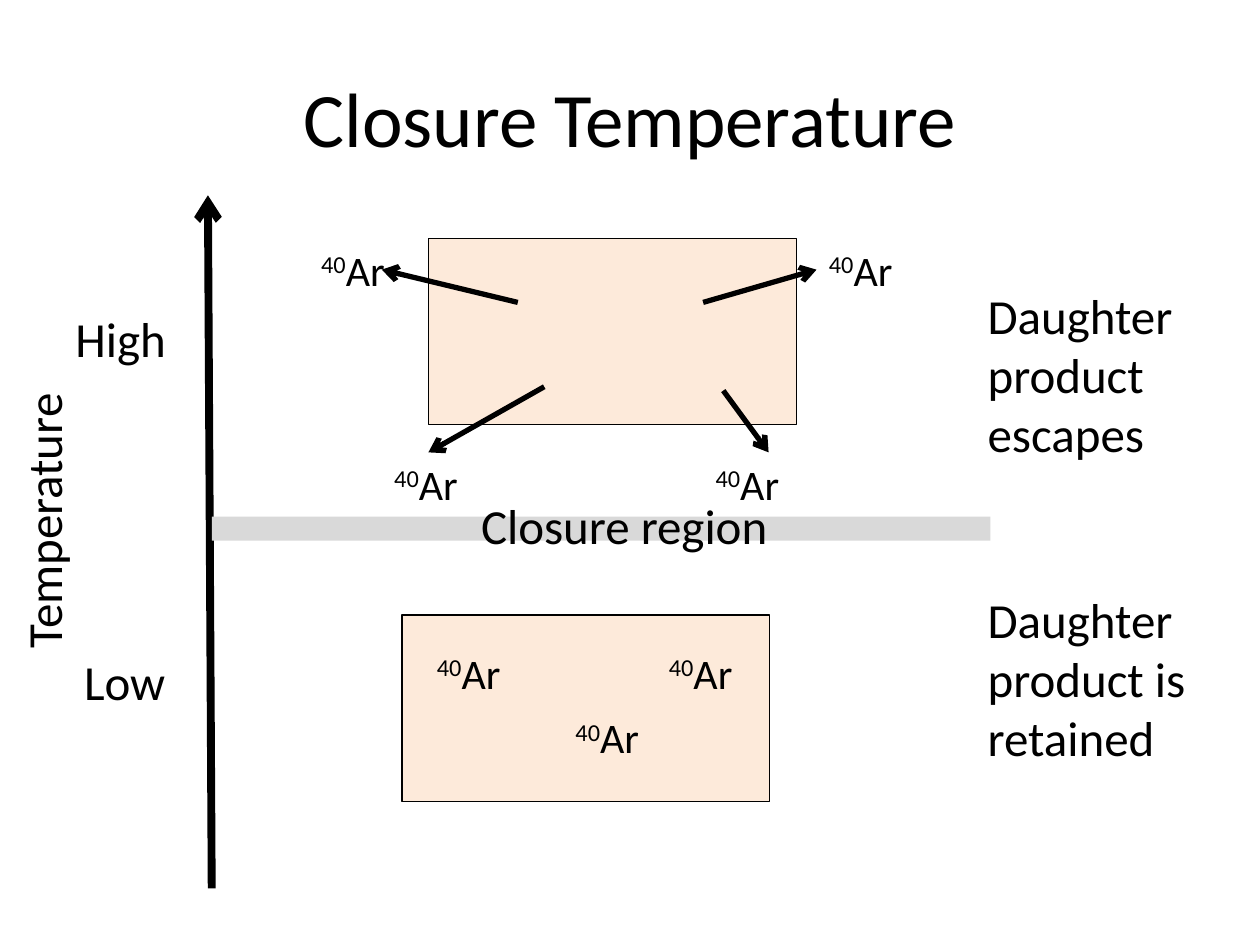
import pptx
import pptx.dml.color
import pptx.enum.shapes
import pptx.enum.text
import pptx.oxml.ns
import pptx.util
from lxml import etree

Pt = pptx.util.Pt
COLORS = {"ink": "000000", "mineral": "FDEADA", "closure": "D9D9D9"}
FONT = "Calibri"

TITLE = "Closure Temperature"
ISOTOPE = [("40", 30), ("Ar", 0)]  # text, baseline shift in percent
ISOTOPE_SIZE = (53.3, 36)
LABEL_HEIGHT = 41

# All positions and lengths are in points.
TEMPERATURE_AXIS = ((121, 507.6), (118.8, 111.6))
MINERAL_SIZE = (210.2, 106.6)
MINERALS = [(244.8, 136.1), (229.7, 351.4)]
CLOSURE_BAND = (121, 295.2, 445, 13.7)

RETAINED = [(375.1, 366.5), (321.8, 403.2), (242.6, 366.5)]
ESCAPED = [(218.2, 258.5), (401.8, 258.5), (176.4, 136.1), (466.6, 136.1)]
ESCAPE_PATHS = [
    ((401.8, 172.8), (466.6, 154.1)),
    ((311, 221), (244.8, 258.5)),
    ((413.3, 223.2), (439.2, 258.5)),
    ((295.9, 172.8), (218.2, 154.1)),
]

# text, left, top, width, rotation
LABELS = [
    ("Closure region", 267.8, 279.4, 180.7, 0),
    ("High", 36, 172.8, 67, 0),
    ("Low", 41, 368.6, 61.9, 0),
    ("Temperature", -58.3, 274.3, 165.6, 270),
]
# text, left, top, width, height
OUTCOMES = [
    ("Daughter product escapes", 557.3, 159.8, 126.7, 108.7),
    ("Daughter product is retained", 557.3, 333.4, 147.6, 108.7),
]


def rgb(name):
    return pptx.dml.color.RGBColor.from_string(COLORS[name])


def add_run(paragraph, text, size, baseline=0):
    run = paragraph.add_run()
    run.text = text
    run.font.name = FONT
    run.font.size = Pt(size)
    run.font.color.rgb = rgb("ink")
    if baseline:
        run.font._element.set("baseline", str(baseline * 1000))


def add_text(slide, runs, box, size, wrap=False, rotation=0):
    label = slide.shapes.add_textbox(*map(Pt, box))
    label.rotation = rotation
    frame = label.text_frame
    frame.word_wrap = wrap
    frame.auto_size = pptx.enum.text.MSO_AUTO_SIZE.SHAPE_TO_FIT_TEXT
    for text, baseline in runs:
        add_run(frame.paragraphs[0], text, size, baseline)


def add_rectangle(slide, box, fill, outlined):
    rectangle = slide.shapes.add_shape(
        pptx.enum.shapes.MSO_SHAPE.RECTANGLE, *map(Pt, box))
    rectangle.shadow.inherit = False
    rectangle.fill.solid()
    rectangle.fill.fore_color.rgb = rgb(fill)
    if outlined:
        rectangle.line.color.rgb = rgb("ink")
        rectangle.line.width = Pt(0.75)
    else:
        rectangle.line.fill.background()


def add_arrow(slide, start, end, width):
    arrow = slide.shapes.add_connector(
        pptx.enum.shapes.MSO_CONNECTOR.STRAIGHT, *map(Pt, start + end))
    arrow.line.color.rgb = rgb("ink")
    arrow.line.width = Pt(width)
    qn = pptx.oxml.ns.qn
    etree.SubElement(arrow.line._get_or_add_ln(), qn("a:tailEnd"), type="arrow")
    etree.SubElement(arrow._element.spPr, qn("a:effectLst"))


def main():
    presentation = pptx.Presentation()
    presentation.slide_width, presentation.slide_height = Pt(720), Pt(540)
    slide = presentation.slides.add_slide(presentation.slide_layouts[5])

    title = slide.shapes.title
    title.left, title.top, title.width, title.height = map(Pt, (36, 21.6, 648, 90))
    title.text_frame.vertical_anchor = pptx.enum.text.MSO_ANCHOR.MIDDLE
    heading = title.text_frame.paragraphs[0]
    heading.alignment = pptx.enum.text.PP_ALIGN.CENTER
    add_run(heading, TITLE, 44)

    add_arrow(slide, *TEMPERATURE_AXIS, width=4.5)
    for corner in MINERALS:
        add_rectangle(slide, corner + MINERAL_SIZE, "mineral", outlined=True)
    for corner in RETAINED + ESCAPED:
        add_text(slide, ISOTOPE, corner + ISOTOPE_SIZE, 24)

    add_rectangle(slide, CLOSURE_BAND, "closure", outlined=False)
    for text, left, top, width, rotation in LABELS:
        add_text(slide, [(text, 0)], (left, top, width, LABEL_HEIGHT), 28,
                 rotation=rotation)
    for start, end in ESCAPE_PATHS:
        add_arrow(slide, start, end, width=3)
    for text, *box in OUTCOMES:
        add_text(slide, [(text, 0)], box, 28, wrap=True)

    presentation.save("out.pptx")


if __name__ == "__main__":
    main()
